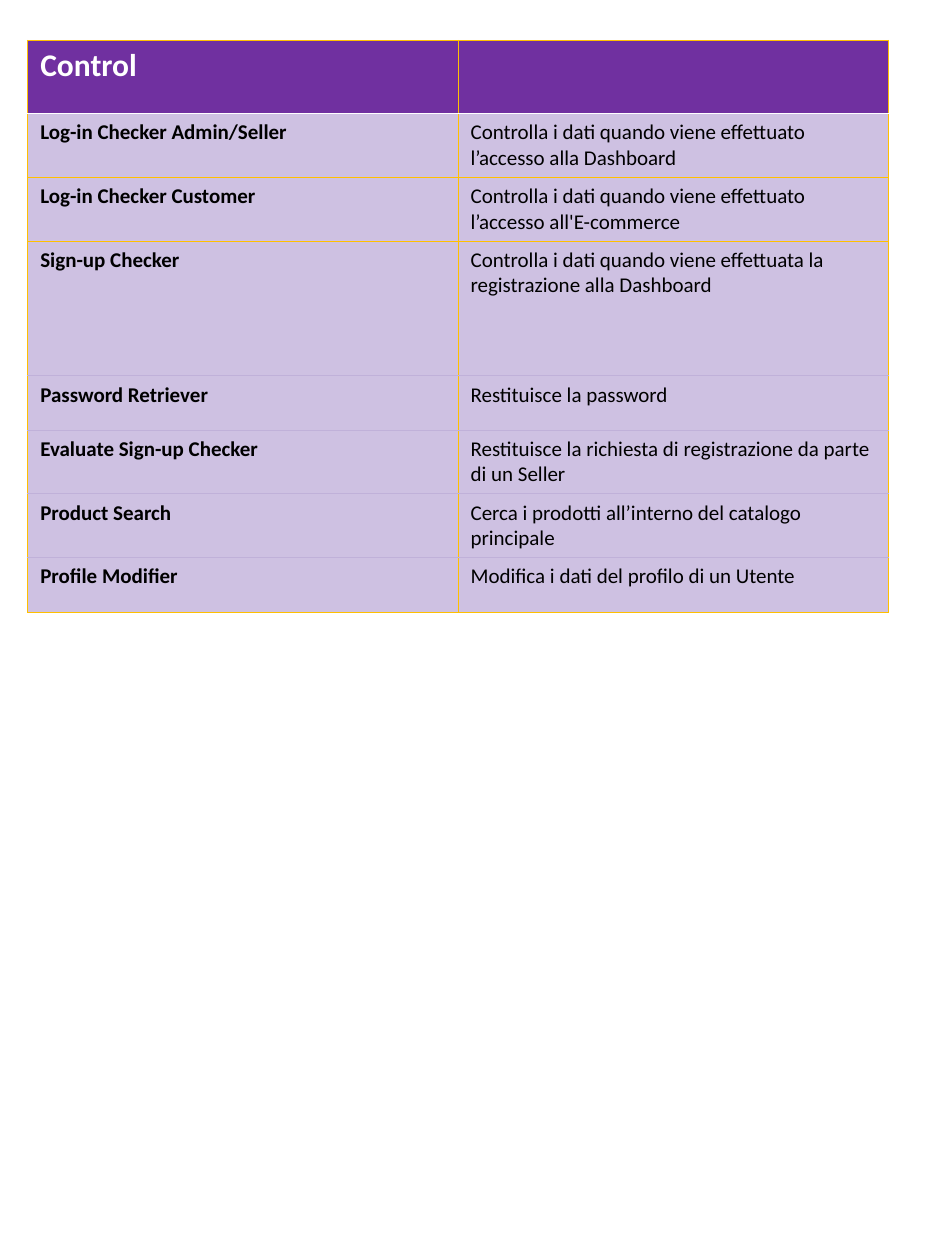
import pptx
import pptx.dml.color
import pptx.oxml
import pptx.oxml.ns
import pptx.util

Inches = pptx.util.Inches

GOLD, LAVENDER, PURPLE, LILAC = "FFC000", "CEC1E2", "7030A0", "C0B1D9"
WHITE, BLACK = "FFFFFF", "000000"
CONTROLS = [
    ("Control", ""),
    ("Log-in Checker Admin/Seller", "Controlla i dati quando viene effettuato l’accesso alla Dashboard"),
    ("Log-in Checker Customer", "Controlla i dati quando viene effettuato l’accesso all'E-commerce"),
    ("Sign-up Checker", "Controlla i dati quando viene effettuata la registrazione alla Dashboard"),
    ("Password Retriever", "Restituisce la password"),
    ("Evaluate Sign-up Checker", "Restituisce la richiesta di registrazione da parte di un Seller"),
    ("Product Search", "Cerca i prodotti all’interno del catalogo principale"),
    ("Profile Modifier", "Modifica i dati del profilo di un Utente"),
]
ROW_HEIGHTS = [0.58, 0.43, 0.43, 1.07, 0.43, 0.43, 0.43, 0.43]
RULE_COLORS = [GOLD, WHITE, GOLD, GOLD, LILAC, LILAC, LILAC, LILAC, GOLD]


def color(value):
    """Turn a hex string into a colour."""
    return pptx.dml.color.RGBColor.from_string(value)


def set_borders(cell, top, bottom):
    """Draw gold sides and the given top and bottom rules around a cell."""
    properties = cell._tc.get_or_add_tcPr()
    for side, value in {"L": GOLD, "R": GOLD, "T": top, "B": bottom}.items():
        width = pptx.util.Pt(1 if value == WHITE else 0.5)
        properties.append(pptx.oxml.parse_xml(
            f'<a:ln{side} {pptx.oxml.ns.nsdecls("a")} w="{width}"><a:solidFill>'
            f'<a:srgbClr val="{value}"/></a:solidFill></a:ln{side}>'))


def fill_cell(cell, text, background, text_color, formats):
    """Fill a cell and write its formatted text."""
    cell.fill.solid()
    cell.fill.fore_color.rgb = color(background)
    cell.text = text
    font = cell.text_frame.paragraphs[0].font
    for name, value in formats.items():
        setattr(font, name, value)
    font.color.rgb = color(text_color)


def add_control_table(slide, left, top, width, height):
    """Place the table of controls in the given box."""
    table = slide.shapes.add_table(len(CONTROLS), 2, left, top, width, height).table
    table.horz_banding = False
    for column in table.columns:
        column.width = width // 2
    for row_index, texts in enumerate(CONTROLS):
        table.rows[row_index].height = Inches(ROW_HEIGHTS[row_index])
        header = row_index == 0
        for column_index, text in enumerate(texts):
            cell = table.cell(row_index, column_index)
            set_borders(cell, *RULE_COLORS[row_index:row_index + 2])
            formats = {"name": "Calibri", "size": pptx.util.Pt(18 if header else 12),
                       "bold": column_index == 0}
            fill_cell(cell, text, PURPLE if header else LAVENDER,
                      WHITE if header else BLACK, formats)


def main():
    """Build and save the presentation."""
    presentation = pptx.Presentation()
    presentation.slide_width = Inches(7.5)
    presentation.slide_height = Inches(10)
    slide = presentation.slides.add_slide(presentation.slide_layouts[6])
    add_control_table(slide, Inches(0.22), Inches(0.32), Inches(6.83), Inches(sum(ROW_HEIGHTS)))
    presentation.save("out.pptx")


if __name__ == "__main__":
    main()
